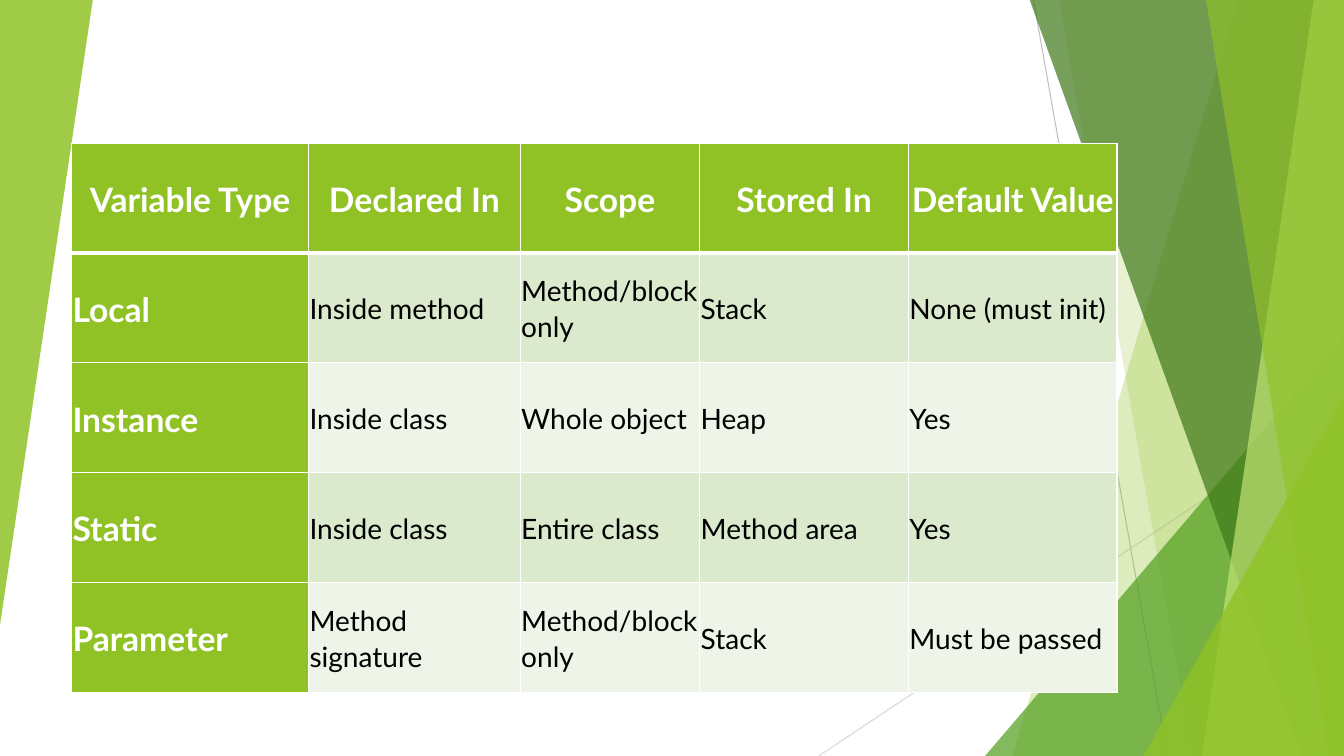
"""Build the slide comparing Java variable types in a table over green facets."""
import pptx
import pptx.dml.color
import pptx.enum.dml
import pptx.enum.shapes
import pptx.enum.text
import pptx.oxml
import pptx.oxml.ns
import pptx.util

Inches = pptx.util.Inches
Pt = pptx.util.Pt
Align = pptx.enum.text.PP_ALIGN

GREEN, WHITE, BLACK = "90C226", "FFFFFF", "000000"
BANDS = ["DBE9CD", "EEF4E8"]
TOP, BOTTOM, RIGHT = -0.01, 7.5, 13.33

COLUMN_WIDTHS = [2.35, 2.1, 1.78, 2.07, 2.07]
ROW_HEIGHT = 1.09
VARIABLES = [
    ["Variable Type", "Declared In", "Scope", "Stored In", "Default Value"],
    ["Local", "Inside method", "Method/block only", "Stack", "None (must init)"],
    ["Instance", "Inside class", "Whole object", "Heap", "Yes"],
    ["Static", "Inside class", "Entire class", "Method area", "Yes"],
    ["Parameter", "Method signature", "Method/block only", "Stack", "Must be passed"],
]


def color(hex_text):
    return pptx.dml.color.RGBColor.from_string(hex_text)


def apply(target, values):
    for name, value in values.items():
        setattr(target, name, value)


class Page:
    font = "Lato"

    def __init__(self, deck):
        self.slide = deck.slides.add_slide(deck.slide_layouts[6])
        self.shapes = self.slide.shapes
        self.slide.background.fill.solid()
        self.slide.background.fill.fore_color.rgb = color(WHITE)

    def line(self, start, end, hex_text):
        points = [Inches(value) for value in (*start, *end)]
        line = self.shapes.add_connector(pptx.enum.shapes.MSO_CONNECTOR.STRAIGHT, *points)
        line.line.color.rgb = color(hex_text)
        line.line.width = Pt(0.75)
        properties = line._element.spPr
        properties.append(properties.makeelement(pptx.oxml.ns.qn("a:effectLst"), {}))

    def paint(self, shape, hex_text, opacity):
        shape.shadow.inherit = False
        shape.line.fill.background()
        shape.fill.solid()
        shape.fill.fore_color.rgb = color(hex_text)
        fill_color = shape._element.xpath("./p:spPr/a:solidFill/a:srgbClr")[0]
        alpha = fill_color.makeelement(pptx.oxml.ns.qn("a:alpha"), {"val": str(opacity * 1000)})
        fill_color.append(alpha)

    def facet(self, top_left, bottom_left, hex_text, opacity):
        outline = [(top_left, TOP), (RIGHT, TOP), (RIGHT, BOTTOM), (bottom_left, BOTTOM)]
        points = [(Inches(x), Inches(y)) for x, y in outline]
        builder = self.shapes.build_freeform(*points[0])
        builder.add_line_segments(points[1:], close=True)
        self.paint(builder.convert_to_shape(), hex_text, opacity)

    def triangle(self, box, hex_text, opacity, rotation=0):
        kind = pptx.enum.shapes.MSO_SHAPE.ISOSCELES_TRIANGLE
        shape = self.shapes.add_shape(kind, *map(Inches, box))
        shape.adjustments[0] = 1
        shape.rotation = rotation
        self.paint(shape, hex_text, opacity)

    def border(self, cell, widths):
        properties = cell._tc.get_or_add_tcPr()
        for side, width in widths.items():
            properties.append(pptx.oxml.parse_xml(
                f'<a:ln{side} {pptx.oxml.ns.nsdecls("a")} w="{Pt(width)}"><a:solidFill>'
                f'<a:srgbClr val="{WHITE}"/></a:solidFill></a:ln{side}>'))

    def cell(self, cell, text, row, column):
        heading = row == 0 or column == 0
        self.border(cell, {"L": 1, "R": 1, "T": 3 if row == 1 else 1, "B": 3 if row == 0 else 1})
        cell.fill.solid()
        cell.fill.fore_color.rgb = color(GREEN if heading else BANDS[(row - 1) % 2])
        margins = ("margin_left", "margin_top", "margin_right", "margin_bottom")
        apply(cell, dict.fromkeys(margins, Inches(0.01)))
        cell.vertical_anchor = pptx.enum.text.MSO_ANCHOR.MIDDLE
        para = cell.text_frame.paragraphs[0]
        apply(para, {"alignment": Align.CENTER if row == 0 else Align.LEFT,
                     "line_spacing": 1.07, "space_after": Pt(6)})
        span = para.add_run()
        span.text = text
        apply(span.font, {"name": self.font, "size": Pt(24 if heading else 20), "bold": heading})
        span.font.color.rgb = color(WHITE if heading else BLACK)

    def table(self, left, top, widths, row_height, rows):
        box = (left, top, sum(widths), row_height * len(rows))
        table = self.shapes.add_table(len(rows), len(widths), *map(Inches, box)).table
        for column, width in zip(table.columns, widths):
            column.width = Inches(width)
        for row, texts in enumerate(rows):
            table.rows[row].height = Inches(row_height)
            for column, text in enumerate(texts):
                self.cell(table.cell(row, column), text, row, column)


def main():
    deck = pptx.Presentation()
    apply(deck, {"slide_width": Inches(13.33), "slide_height": Inches(7.5)})
    page = Page(deck)
    page.line((10.25, 0), (11.58, BOTTOM), "BFBFBF")
    page.line((RIGHT, 4.03), (8.12, BOTTOM), "D9D9D9")
    page.facet(12.28, 10.04, GREEN, 30)
    page.facet(10.5, 11.83, GREEN, 20)
    page.triangle((9.77, 3.33, 3.56, 4.17), "54A021", 72)
    page.facet(10.21, 12.91, "3F7819", 70)
    page.facet(13.03, 11.92, "C0E474", 70)
    page.facet(11.96, 13.18, GREEN, 65)
    page.triangle((11.34, 3.93, 1.99, 3.57), GREEN, 80)
    page.triangle((0, 0, 0.92, 6.2), GREEN, 85, rotation=180)
    page.table(0.71, 1.42, COLUMN_WIDTHS, ROW_HEIGHT, VARIABLES)
    deck.save("out.pptx")


if __name__ == "__main__":
    main()
